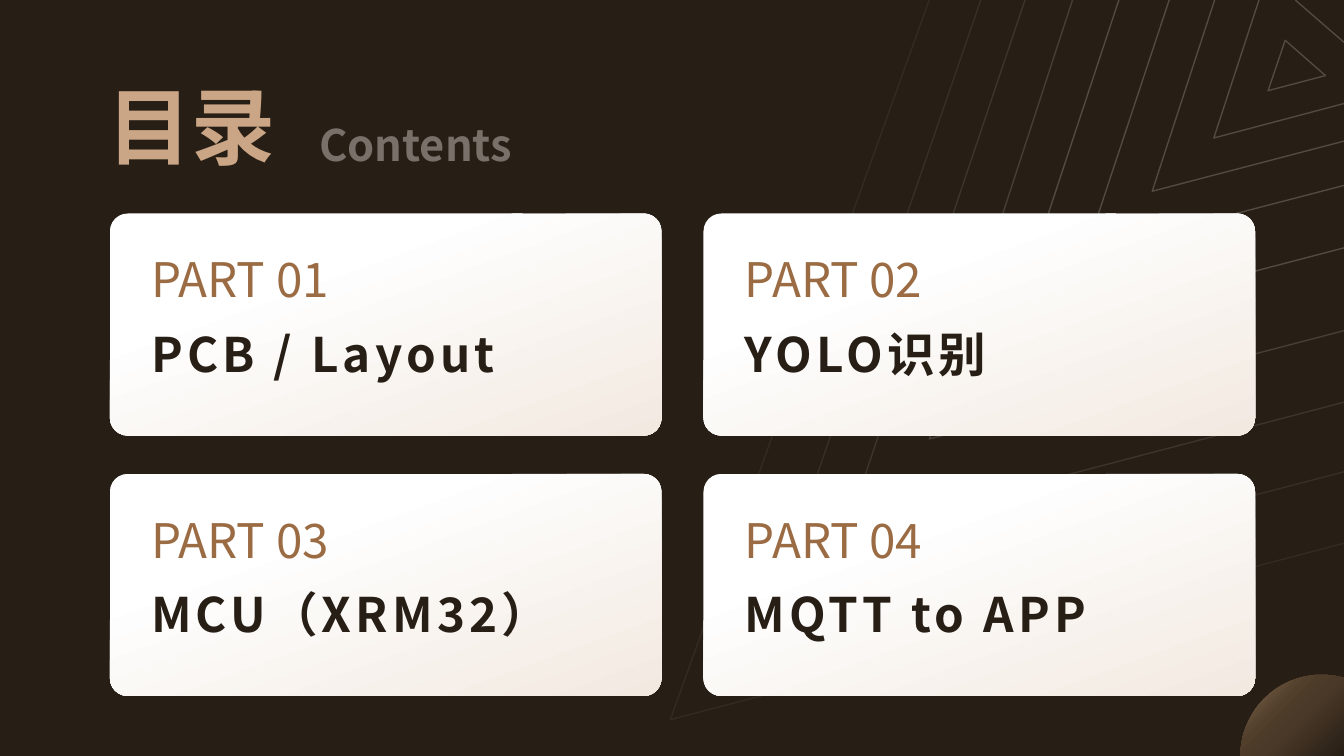
import math

import lxml.etree
import pptx
import pptx.dml.color
import pptx.enum.shapes
import pptx.enum.text
import pptx.oxml
import pptx.oxml.ns
import pptx.util

Pt = pptx.util.Pt
qn = pptx.oxml.ns.qn
ANCHOR = pptx.enum.text.MSO_ANCHOR
ALIGN = pptx.enum.text.PP_ALIGN

WIDTH, HEIGHT = 960, 540
FONT = "Noto Sans CJK SC"
DARK, BROWN, TAN, WHITE = "271E15", "9B6C43", "CBA686", "FFFFFF"

PARTS = ["PCB / Layout", "YOLO识别", "MCU（XRM32）", "MQTT to APP"]

# Each chevron: y at the right edge, tip x, tip y, x at the top edge, opacity
CHEVRONS = [
    (74, 867, 98.6, 899.3, 20),
    (100.8, 823, 136.6, 867.6, 20),
    (132.5, 775.4, 180.5, 835.2, 20),
    (177.1, 720, 239.8, 799.2, 20),
    (236.2, 663.8, 313.6, 766.1, 15),
    (287.3, 604.1, 380.6, 732.2, 10),
    (337, 547.2, 445, 700.6, 8),
    (388.1, 478.8, 514.1, 663.8, 5),
]


def color(hex_string):
    return pptx.dml.color.RGBColor.from_string(hex_string)


def set_opacity(container, percent):
    """Add an alpha value to the colour inside a fill, line or run."""
    for element in container.iter(qn("a:srgbClr")):
        alpha = lxml.etree.SubElement(element, qn("a:alpha"))
        alpha.set("val", str(percent * 1000))


def set_gradient(shape, stops, angle=None):
    """Fill with (position, colour, opacity) stops, along an angle or
    as a circle around the bottom right corner."""
    shape.fill.solid()
    solid = shape._element.spPr.find(qn("a:solidFill"))
    gradient = lxml.etree.Element(qn("a:gradFill"), rotWithShape="1")
    stop_list = lxml.etree.SubElement(gradient, qn("a:gsLst"))
    for position, hex_string, opacity in stops:
        stop = lxml.etree.SubElement(stop_list, qn("a:gs"), pos=str(position * 1000))
        lxml.etree.SubElement(stop, qn("a:srgbClr"), val=hex_string)
        if opacity < 100:
            set_opacity(stop, opacity)
    if angle is None:
        circle = lxml.etree.SubElement(gradient, qn("a:path"))
        circle.set("path", "circle")
        lxml.etree.SubElement(circle, qn("a:fillToRect"), l="100000", t="100000")
    else:
        lxml.etree.SubElement(gradient, qn("a:lin"), ang=str(angle * 60000), scaled="0")
    solid.getparent().replace(solid, gradient)


def add_outline(slide, points, close):
    corners = [(Pt(x), Pt(y)) for x, y in points]
    builder = slide.shapes.build_freeform(*corners[0])
    builder.add_line_segments(corners[1:], close=close)
    shape = builder.convert_to_shape()
    shape.shadow.inherit = False
    shape.fill.background()
    shape.line.fill.background()
    return shape


def add_thin_line(slide, points, opacity, close=False):
    shape = add_outline(slide, points, close)
    shape.line.color.rgb = color(WHITE)
    shape.line.width = Pt(1)
    set_opacity(shape.line._ln, opacity)
    return shape


def add_text(slide, box, text, size, hex_string, bold=False, spacing=0,
             anchor=ANCHOR.TOP, align=ALIGN.LEFT, wrap=True, font=FONT):
    shape = slide.shapes.add_textbox(*[Pt(value) for value in box])
    frame = shape.text_frame
    frame.margin_left = frame.margin_right = 0
    frame.margin_top = frame.margin_bottom = 0
    frame.word_wrap = wrap
    frame.vertical_anchor = anchor
    frame.text = text
    paragraph = frame.paragraphs[0]
    paragraph.alignment = align
    run = paragraph.runs[0]
    run.font.name = font
    run.font.size = Pt(size)
    run.font.bold = bold
    run.font.color.rgb = color(hex_string)
    properties = run.font._element
    lxml.etree.SubElement(properties, qn("a:ea"), typeface=FONT)
    if spacing:
        properties.set("spc", str(spacing * 100))
    return run


def add_card(slide, left, top, number, topic):
    card = slide.shapes.add_shape(
        pptx.enum.shapes.MSO_SHAPE.ROUNDED_RECTANGLE,
        Pt(left), Pt(top), Pt(394), Pt(158.6))
    card.adjustments[0] = 0.08
    card.shadow.inherit = False
    card.line.fill.background()
    set_gradient(card, [(30, WHITE, 100), (100, "F2E9E1", 100)], 70)
    text_left = left + 29.5
    add_text(slide, (text_left, top + 16, 183, 51), f"PART {number:02d}", 34,
             BROWN, anchor=ANCHOR.BOTTOM, wrap=False)
    add_text(slide, (text_left, top + 79.5, 335, 70.5), topic, 34,
             DARK, bold=True, spacing=3)


def add_sphere(slide):
    center_x, center_y, radius = 944, 540, 58
    arc = [(center_x + radius * math.cos(math.radians(angle)),
            center_y + radius * math.sin(math.radians(angle)))
           for angle in range(180, 287, 2)]
    body = add_outline(slide, arc + [(WIDTH, 485), (WIDTH, HEIGHT)], True)
    set_gradient(body, [(0, DARK, 100), (45, "4A3928", 100), (100, "624B34", 100)])
    inner_edge = [(WIDTH, 488), (953, 491), (937, 502), (924, 514), (914, 529), (909, HEIGHT)]
    highlight = add_outline(slide, arc + inner_edge, True)
    set_gradient(highlight, [(62, "B08E6D", 0), (100, "EFE8E2", 35)], 225)


def main():
    presentation = pptx.Presentation()
    presentation.slide_width, presentation.slide_height = Pt(WIDTH), Pt(HEIGHT)
    slide = presentation.slides.add_slide(presentation.slide_layouts[6])
    slide.background.fill.solid()
    slide.background.fill.fore_color.rgb = color(DARK)

    # Background decoration
    add_sphere(slide)
    triangle = add_thin_line(slide, [(918, 28.8), (946.8, 54), (905.8, 64.8)], 20, close=True)
    triangle.fill.solid()
    triangle.fill.fore_color.rgb = color(DARK)
    add_thin_line(slide, [(925.2, 0), (WIDTH, 30.2)], 20)
    for right_y, tip_x, tip_y, top_x, opacity in CHEVRONS:
        add_thin_line(slide, [(WIDTH, right_y), (tip_x, tip_y), (top_x, 0)], opacity)

    # Heading
    add_text(slide, (47.5, 42.5, 178.5, 82.8), "目录", 60, TAN, bold=True,
             anchor=ANCHOR.BOTTOM, align=ALIGN.CENTER, font="Arial")
    subtitle = add_text(slide, (228, 84.5, 190, 46), "Contents", 31, "F5EEE7", bold=True)
    set_opacity(subtitle.font._element, 40)

    # Cards in a grid of two columns
    for index, topic in enumerate(PARTS):
        row, column = divmod(index, 2)
        add_card(slide, 78.5 + column * 424, 152.5 + row * 186, index + 1, topic)

    presentation.save("out.pptx")


if __name__ == "__main__":
    main()
